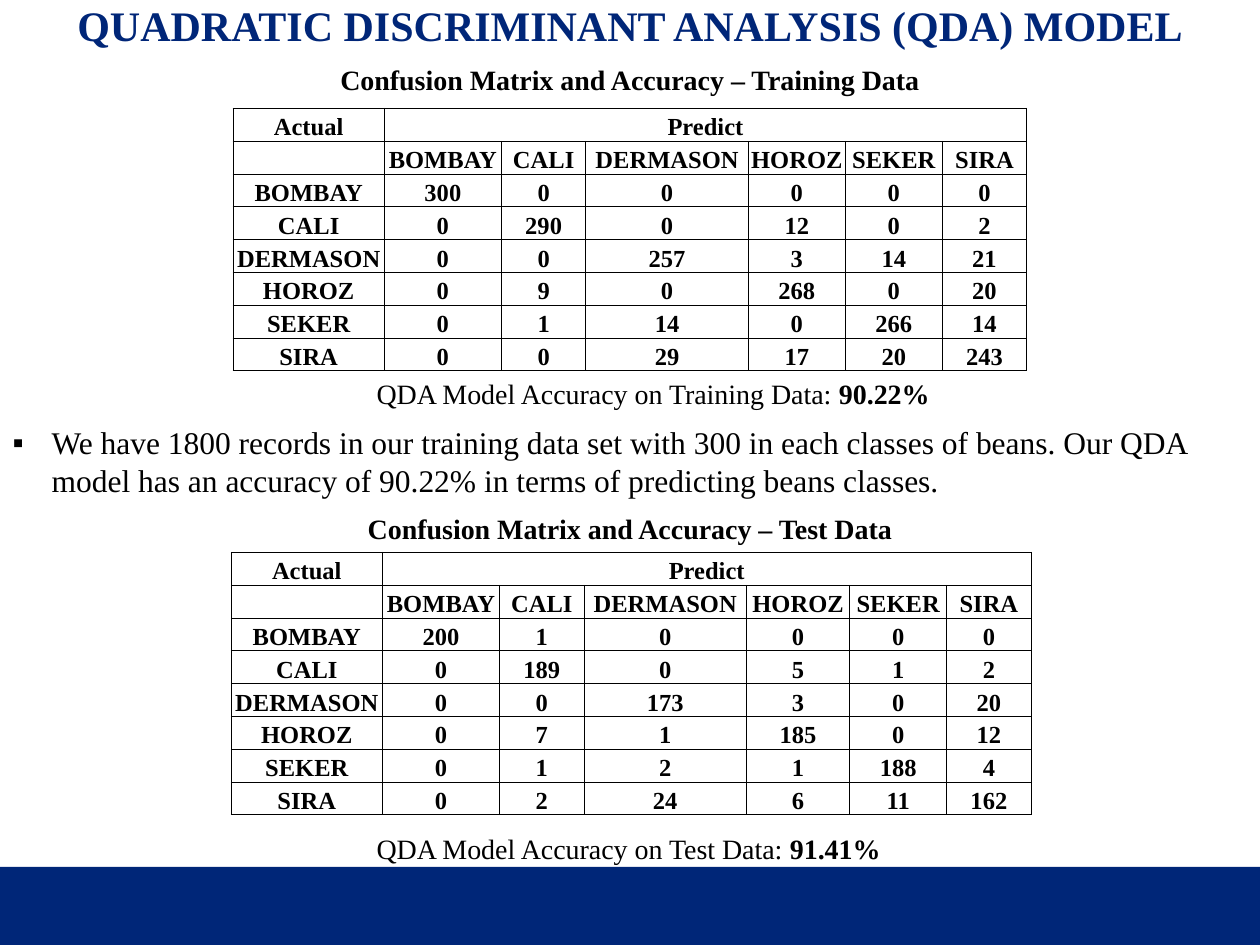
from lxml import etree
from pptx import Presentation
from pptx.dml.color import RGBColor
from pptx.enum.shapes import MSO_SHAPE
from pptx.enum.text import MSO_ANCHOR, MSO_AUTO_SIZE, PP_ALIGN
from pptx.oxml import parse_xml
from pptx.oxml.ns import nsdecls, qn
from pptx.util import Inches, Pt

CENTER, LEFT = PP_ALIGN.CENTER, PP_ALIGN.LEFT
BOTTOM, TOP = MSO_ANCHOR.BOTTOM, MSO_ANCHOR.TOP
FIXED = MSO_AUTO_SIZE.NONE
RECTANGLE = MSO_SHAPE.RECTANGLE
FONT = "Times New Roman"
COLORS = {"navy": "002678", "black": "000000"}
BEANS = ["BOMBAY", "CALI", "DERMASON", "HOROZ", "SEKER", "SIRA"]

deck = Presentation()
deck.slide_width, deck.slide_height = Inches(10), Inches(7.5)
column, row = deck.slide_width / 100, deck.slide_height / 100
slide = deck.slides.add_slide(deck.slide_layouts[1])


def grid_area(left, top, width, height):
    return [int(n) for n in (left * column, top * row, width * column, height * row)]


def style_paragraph(para, size, align, bold=False, color="black"):
    para.alignment = align
    para.font.name = FONT
    para.font.size = Pt(size)
    para.font.bold = bold
    para.font.color.rgb = RGBColor.from_string(COLORS[color])


title, body = slide.placeholders
title.left, title.top, title.width, title.height = grid_area(0, 0, 100, 5.87)
title_frame = title.text_frame
title_frame.text = "QUADRATIC DISCRIMINANT ANALYSIS (QDA) MODEL"
title_frame.auto_size = FIXED
title_frame.vertical_anchor = BOTTOM
title_frame.margin_left = title_frame.margin_right = Inches(0.07)
title_frame.margin_top = title_frame.margin_bottom = Inches(0.04)
title_para = title_frame.paragraphs[0]
title_para.line_spacing = 0.9
style_paragraph(title_para, 24, CENTER, True, "navy")

body.left, body.top, body.width, body.height = grid_area(0, 44.13, 100, 9.47)
body_frame = body.text_frame
body_frame.text = (
    "We have 1800 records in our training data set with 300 in each classes of beans. "
    "Our QDA model has an accuracy of 90.22% in terms of predicting beans classes."
)
body_frame.auto_size = FIXED
body_frame.vertical_anchor = TOP
body_para = body_frame.paragraphs[0]
body_para.space_before = Pt(0)
style_paragraph(body_para, 18, LEFT)
body_format = body_para._p.get_or_add_pPr()
body_format.set("marL", str(Inches(0.31)))
body_format.set("indent", str(-Inches(0.31)))
bullet = parse_xml(f'<a:buChar {nsdecls("a")} char="▪"/>')
body_format.insert(body_format.index(body_format.find(qn("a:defRPr"))), bullet)

footer = slide.shapes.add_shape(RECTANGLE, *grid_area(0, 91.73, 100, 8.27))
footer.shadow.inherit = False
footer.fill.solid()
footer.fill.fore_color.rgb = RGBColor.from_string(COLORS["navy"])
footer.line.fill.background()

sections = [
    {
        "name": "Training", "heading_top": 6, "table_left": 18.5, "table_top": 11.47,
        "accuracy_top": 39.2, "accuracy": "90.22%", "horoz_width": 7.7,
        "counts": [
            [300, 0, 0, 0, 0, 0],
            [0, 290, 0, 12, 0, 2],
            [0, 0, 257, 3, 14, 21],
            [0, 9, 0, 268, 0, 20],
            [0, 1, 14, 0, 266, 14],
            [0, 0, 29, 17, 20, 243],
        ],
    },
    {
        "name": "Test", "heading_top": 53.47, "table_left": 18.35, "table_top": 58.45,
        "accuracy_top": 87.33, "accuracy": "91.41%", "horoz_width": 8.2,
        "counts": [
            [200, 1, 0, 0, 0, 0],
            [0, 189, 0, 5, 1, 2],
            [0, 0, 173, 3, 0, 20],
            [0, 7, 1, 185, 0, 12],
            [0, 1, 2, 1, 188, 4],
            [0, 2, 24, 6, 11, 162],
        ],
    },
]

for section in sections:
    heading = slide.shapes.add_textbox(*grid_area(0, section["heading_top"], 100, 4.93))
    heading.text_frame.word_wrap = True
    heading.text_frame.text = f"Confusion Matrix and Accuracy – {section['name']} Data"
    style_paragraph(heading.text_frame.paragraphs[0], 16, CENTER, True)

    result = slide.shapes.add_textbox(*grid_area(28.9, section["accuracy_top"], 50.2, 4.93))
    result.text_frame.word_wrap = True
    result_para = result.text_frame.paragraphs[0]
    style_paragraph(result_para, 16, LEFT)
    result_para.add_run().text = f"QDA Model Accuracy on {section['name']} Data: "
    accuracy_span = result_para.add_run()
    accuracy_span.text = section["accuracy"]
    accuracy_span.font.bold = True

    widths = [12, 9.3, 6.7, 12.9, section["horoz_width"], 7.7, 6.7]
    area = grid_area(section["table_left"], section["table_top"], sum(widths), 27.8)
    table = slide.shapes.add_table(8, 7, *area).table
    table.first_row = table.horz_banding = False
    for table_column, width in zip(table.columns, widths):
        table_column.width = int(width * column)
    matrix = [["Actual", "Predict"] + [""] * 5, [""] + BEANS]
    matrix += [[bean] + counts for bean, counts in zip(BEANS, section["counts"])]
    table.cell(0, 1).merge(table.cell(0, 6))

    for row_index, values in enumerate(matrix):
        for column_index, value in enumerate(values):
            cell = table.cell(row_index, column_index)
            cell.vertical_anchor = BOTTOM
            cell.margin_left = cell.margin_right = cell.margin_top = Inches(0.01)
            cell.margin_bottom = 0
            cell_para = cell.text_frame.paragraphs[0]
            style_paragraph(cell_para, 14, CENTER, True)
            if value == "":
                etree.SubElement(cell_para._p, qn("a:endParaRPr"), sz="1400")
            else:
                cell_para.add_run().text = str(value)
            for side in "LRTB":
                cell._tc.get_or_add_tcPr().append(parse_xml(
                    f'<a:ln{side} {nsdecls("a")} w="{Pt(0.5)}"><a:solidFill>'
                    f'<a:srgbClr val="{COLORS["black"]}"/></a:solidFill></a:ln{side}>'
                ))
            cell.fill.background()

deck.save("out.pptx")
